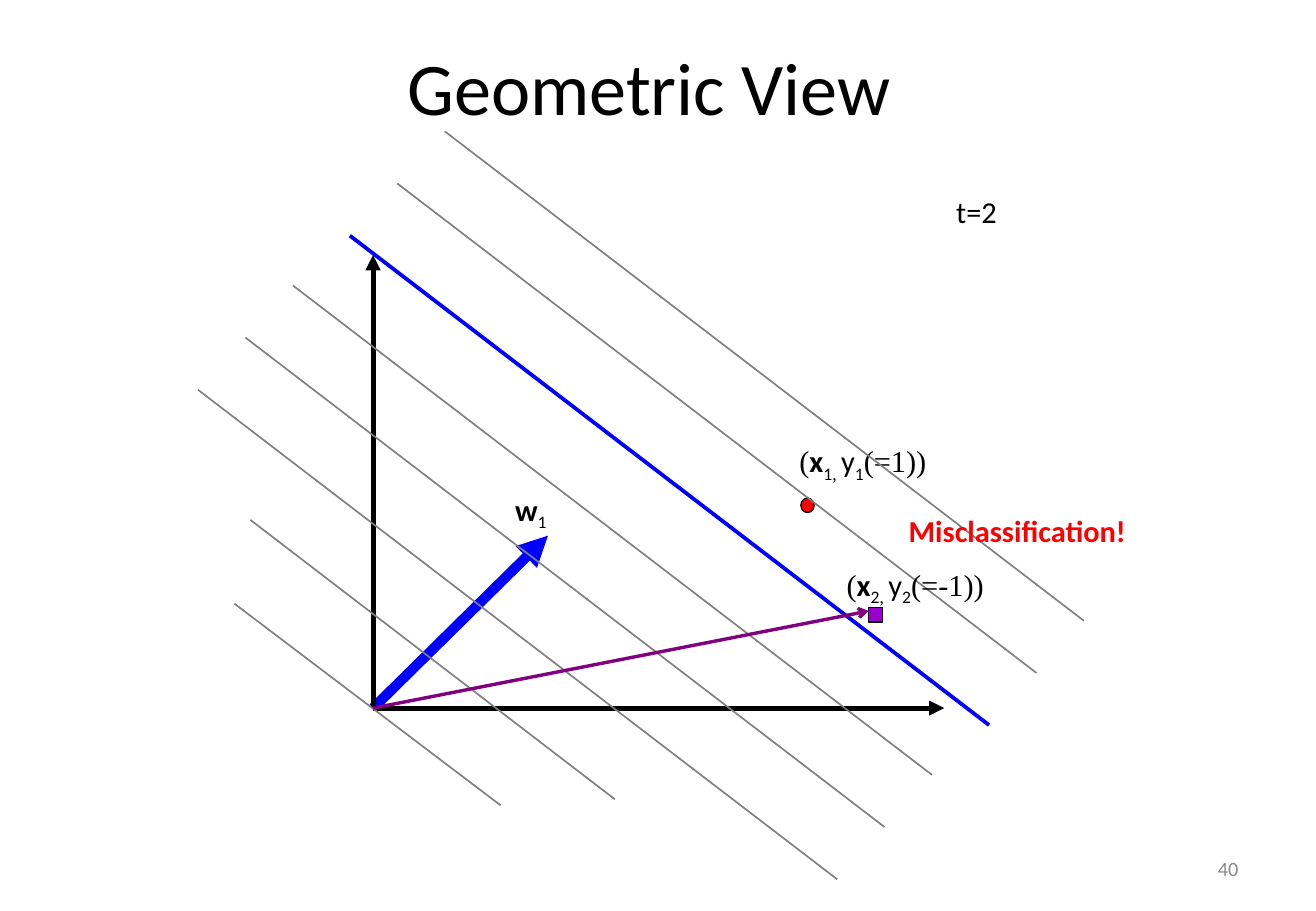
from dataclasses import dataclass

from lxml import etree
from pptx import Presentation
from pptx.dml.color import RGBColor
from pptx.enum.shapes import MSO_CONNECTOR, MSO_SHAPE
from pptx.enum.text import MSO_ANCHOR, PP_ALIGN
from pptx.oxml.ns import qn
from pptx.util import Inches, Pt

STRAIGHT = MSO_CONNECTOR.STRAIGHT
DOT, BOX = MSO_SHAPE.OVAL, MSO_SHAPE.RECTANGLE
LEFT, MID, RIGHT = PP_ALIGN.LEFT, PP_ALIGN.CENTER, PP_ALIGN.RIGHT
TOP, CENTER = MSO_ANCHOR.TOP, MSO_ANCHOR.MIDDLE

WIDE, HIGH = Inches(10.83), Inches(7.5)


@dataclass(frozen=True)
class Theme:
    sans: str = "Calibri"
    serif: str = "Times New Roman"
    title: int = 44
    body: int = 18
    small: int = 12
    black: str = "000000"
    blue: str = "0000FF"
    gray: str = "808080"
    pale: str = "898989"
    red: str = "FF0000"
    violet: str = "9900CC"
    purple: str = "800080"


THEME = Theme()

# Places and sizes are percent of the slide's width and height.
ORIGIN = (28.35, 77.73)
SPAN = (48.57, 53.73)
STEP = (3.6, -5.73)
BORDER = (26.59, 25.87)
LOWER = (22.25, 31.33)
ROW = 5.33


def col(share):
    return round(WIDE * share / 100)


def row(share):
    return round(HIGH * share / 100)


def shift(start, move, times=1):
    return start[0] + times * move[0], start[1] + times * move[1]


def rgb(color):
    return RGBColor.from_string(color)


def add_line(slide, start, end, color, width, head=None):
    """Draw a straight line; head names the arrowhead at its end."""
    line = slide.shapes.add_connector(
        STRAIGHT, col(start[0]), row(start[1]), col(end[0]), row(end[1]))
    line.line.color.rgb = rgb(color)
    line.line.width = Pt(width)
    props = line._element.spPr
    if head:
        etree.SubElement(props.find(qn("a:ln")), qn("a:tailEnd"), type=head)
    etree.SubElement(props, qn("a:effectLst"))


def add_level(slide, start, color=THEME.gray, width=1):
    add_line(slide, start, shift(start, SPAN), color, width)


def add_mark(slide, kind, left, top, color):
    mark = slide.shapes.add_shape(
        kind, col(left), row(top), col(1.02), row(1.6))
    mark.shadow.inherit = False
    mark.fill.solid()
    mark.fill.fore_color.rgb = rgb(color)
    mark.line.color.rgb = rgb(THEME.black)
    mark.line.width = Pt(0.75)


def add_text(slide, area, text="", size=THEME.body, color=THEME.black,
             bold=False, align=LEFT, anchor=TOP):
    """Add a one-line text box and return its paragraph."""
    left, top, width, height = area
    frame = slide.shapes.add_textbox(
        col(left), row(top), col(width), row(height)).text_frame
    frame.word_wrap = True
    frame.vertical_anchor = anchor
    para = frame.paragraphs[0]
    para.alignment = align
    para.font.size = Pt(size)
    para.font.color.rgb = rgb(color)
    para.font.name = THEME.sans
    para.font.bold = bold
    if text:
        para.add_run().text = text
    return para


def add_part(para, text, serif=False, bold=False, sub=False):
    part = para.add_run()
    part.text = text
    part.font.name = THEME.serif if serif else THEME.sans
    part.font.bold = bold
    if sub:
        part._r.get_or_add_rPr().set("baseline", "-25000")


def add_point(slide, area, index, label):
    """Label a sample as (x, y(=label)) with its index below the line."""
    para = add_text(slide, area)
    add_part(para, "(", serif=True)
    add_part(para, "x", bold=True)
    add_part(para, index, sub=True)
    add_part(para, ", ", serif=True, sub=True)
    add_part(para, "y")
    add_part(para, index, sub=True)
    add_part(para, f"(={label}))", serif=True)


def add_weight(slide, area, index):
    para = add_text(slide, area)
    add_part(para, "w", bold=True)
    add_part(para, index, sub=True)


def main():
    deck = Presentation()
    deck.slide_width, deck.slide_height = WIDE, HIGH
    slide = deck.slides.add_slide(deck.slide_layouts[6])

    add_line(slide, ORIGIN, (41.64, 58.8), THEME.blue, 6, "triangle")
    add_text(slide, (71.65, 92.67, 23.36, ROW), "40", THEME.small,
             THEME.pale, align=RIGHT, anchor=CENTER)
    for end in ((ORIGIN[0], 28), (71.75, ORIGIN[1])):
        add_line(slide, ORIGIN, end, THEME.black, 3, "triangle")
    add_text(slide, (4.34, 3.87, 90.03, 16.67), "Geometric View",
             THEME.title, align=MID)
    add_text(slide, (71.75, 20.53, 18.28, ROW), "t=2")

    add_mark(slide, DOT, 60.85, 54.67, THEME.red)
    add_point(slide, (59.83, 47.87, 13.85, ROW), "1", "1")

    for times in (1, 2):
        add_level(slide, shift(BORDER, STEP, times))
    for times in (0, -1, -2):
        add_level(slide, shift(LOWER, STEP, times))
    for start, end in (((17.82, 66.27), (38.04, 88.4)),
                       ((19.02, 57.07), (46.72, 87.73))):
        add_line(slide, start, end, THEME.gray, 1)
    add_level(slide, BORDER, THEME.blue, 2.25)

    add_weight(slide, (38.23, 53.2, 20.31, ROW), "1")
    add_mark(slide, BOX, 66.02, 66.67, THEME.violet)
    add_point(slide, (63.43, 61.47, 15.79, ROW), "2", "-1")
    add_text(slide, (68.14, 55.6, 20.13, ROW), "Misclassification!",
             color=THEME.red, bold=True)
    add_line(slide, ORIGIN, (66.02, 67.07), THEME.purple, 2, "arrow")

    deck.save("out.pptx")


if __name__ == "__main__":
    main()
